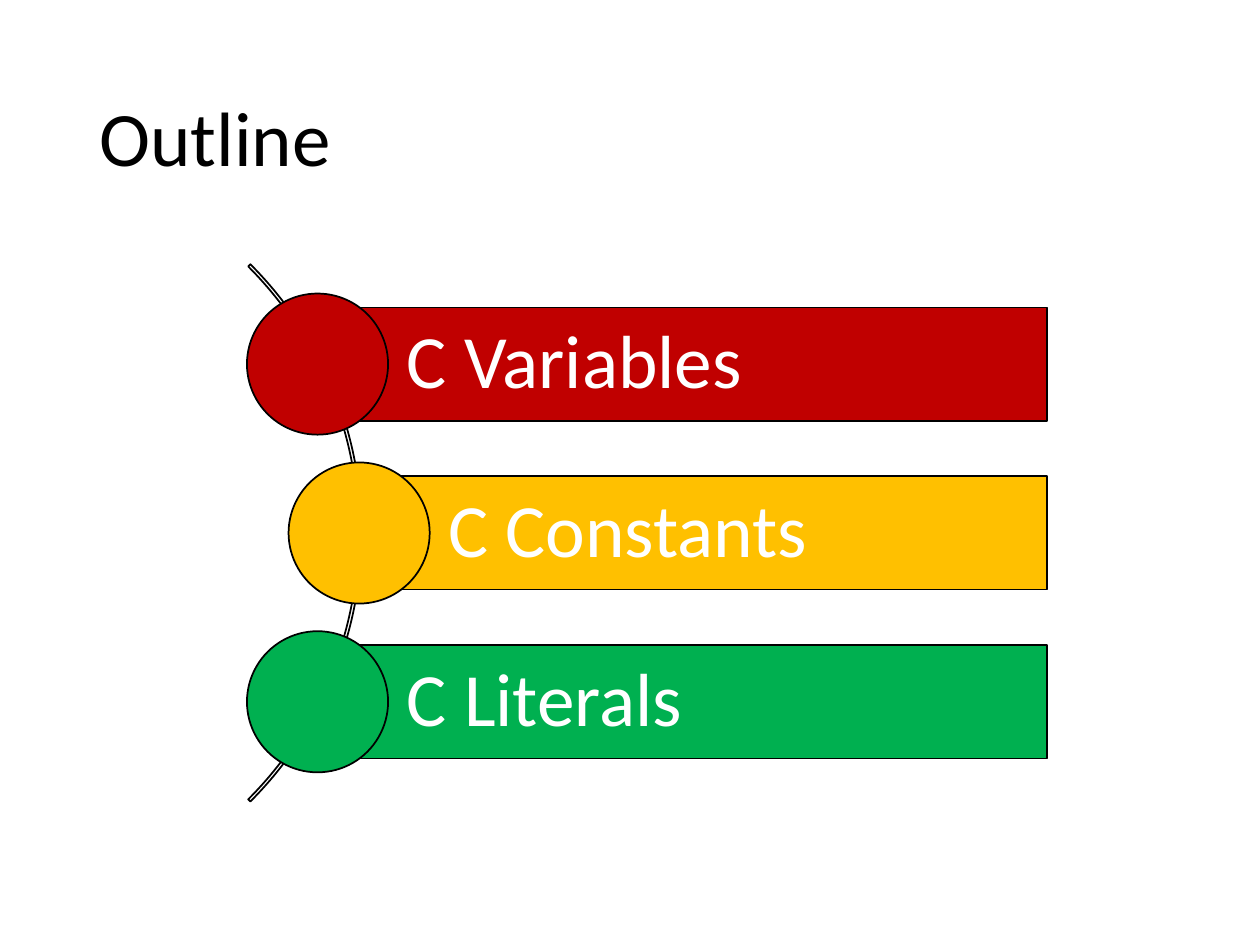
import pptx
import pptx.dml.color
import pptx.enum.shapes
import pptx.enum.text
import pptx.util

RGBColor = pptx.dml.color.RGBColor
Inches = pptx.util.Inches
Shape = pptx.enum.shapes.MSO_SHAPE

BLACK = RGBColor(0x00, 0x00, 0x00)
WHITE = RGBColor(0xFF, 0xFF, 0xFF)
RED = RGBColor(0xC0, 0x00, 0x00)
AMBER = RGBColor(0xFF, 0xC0, 0x00)
GREEN = RGBColor(0x00, 0xB0, 0x50)

TOPICS = [
    ("C Variables", RED, 2.52),
    ("C Constants", AMBER, 2.85),
    ("C Literals", GREEN, 2.52),
]
MIDDLE, ROW_PITCH = 4.23, 1.34
BAR_RIGHT, BAR_HEIGHT = 8.31, 0.9
CIRCLE_SIZE = 1.12
ARC_RIGHT, ARC_SIZE = 2.87, 6.03


def write_text(holder, words, size, color):
    """Write one left-aligned line, centred vertically in its holder."""
    frame = holder.text_frame
    frame.word_wrap = True
    frame.vertical_anchor = pptx.enum.text.MSO_ANCHOR.MIDDLE
    frame.text = words
    line = frame.paragraphs[0]
    line.alignment = pptx.enum.text.PP_ALIGN.LEFT
    line.line_spacing = 0.9
    font = line.runs[0].font
    font.name, font.size = "Calibri", pptx.util.Pt(size)
    font.color.rgb = color


def add_outlined(slide, kind, left, center_y, width, height, fill=None):
    """Add a black-outlined shape centred on a height, filled or hollow."""
    outlined = slide.shapes.add_shape(
        kind, Inches(left), Inches(center_y - height / 2), Inches(width), Inches(height))
    outlined.shadow.inherit = False
    outlined.line.color.rgb = BLACK
    outlined.line.width = pptx.util.Pt(1)
    if fill is None:
        outlined.fill.background()
    else:
        outlined.fill.solid()
        outlined.fill.fore_color.rgb = fill
    return outlined


def add_title(slide, words):
    """Add the slide title."""
    title = slide.shapes.add_textbox(Inches(0.69), Inches(0.4), Inches(8.62), Inches(1.45))
    write_text(title, words, 44, BLACK)


def add_arc(slide):
    """Add the thin arc that links the topics."""
    arc = add_outlined(slide, Shape.BLOCK_ARC, ARC_RIGHT - ARC_SIZE, MIDDLE, ARC_SIZE, ARC_SIZE)
    for index, value in enumerate((189, 27, 0.004)):
        arc.adjustments[index] = value


def add_topic(slide, words, color, center_x, center_y):
    """Add a topic bar with its circle over the left end."""
    bar = add_outlined(slide, Shape.RECTANGLE, center_x, center_y,
                       BAR_RIGHT - center_x, BAR_HEIGHT, color)
    write_text(bar, words, 43, WHITE)
    frame = bar.text_frame
    frame.margin_left = Inches(0.71)
    frame.margin_right = frame.margin_top = frame.margin_bottom = Inches(0.12)
    add_outlined(slide, Shape.OVAL, center_x - CIRCLE_SIZE / 2, center_y,
                 CIRCLE_SIZE, CIRCLE_SIZE, color)


def main():
    """Build the outline slide and save it."""
    deck = pptx.Presentation()
    deck.slide_width, deck.slide_height = Inches(10), Inches(7.5)
    slide = deck.slides.add_slide(deck.slide_layouts[6])
    add_title(slide, "Outline")
    add_arc(slide)
    for row, (words, color, center_x) in enumerate(TOPICS):
        add_topic(slide, words, color, center_x, MIDDLE + (row - 1) * ROW_PITCH)
    deck.save("out.pptx")


if __name__ == "__main__":
    main()
